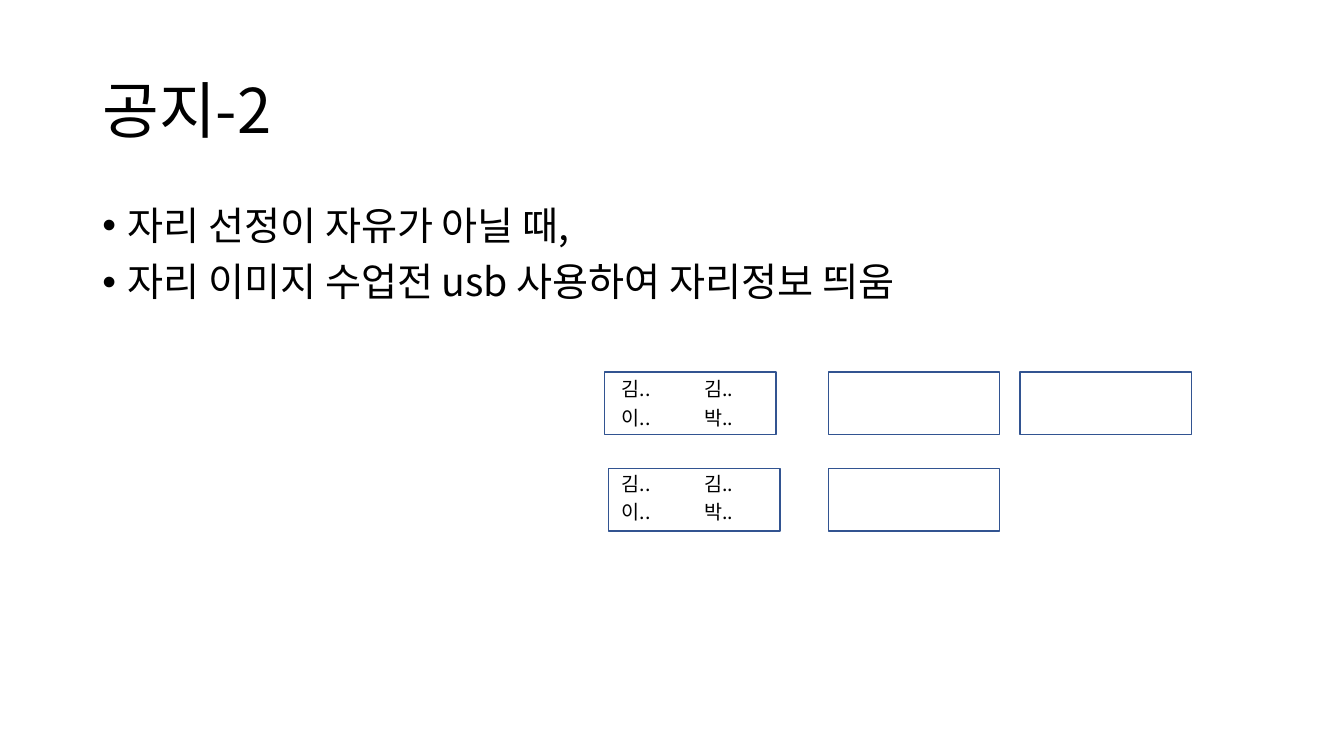
from lxml.etree import SubElement
from pptx import Presentation
from pptx.dml.color import RGBColor
from pptx.enum.shapes import MSO_SHAPE
from pptx.enum.text import MSO_ANCHOR, MSO_AUTO_SIZE, PP_ALIGN
from pptx.oxml.ns import qn
from pptx.util import Pt

FONT = "Noto Sans CJK KR"


def color(value):
    return RGBColor.from_string(value)


def format_text(frame, size, spacing=1.0):
    for para in frame.paragraphs:
        para.alignment = PP_ALIGN.LEFT
        para.line_spacing = spacing
        for span in para.runs:
            span.font.size = Pt(size)
            span.font.color.rgb = color("000000")
            span.font.name = FONT
            SubElement(span.font._element, qn("a:ea"), typeface=FONT)


deck = Presentation()
deck.slide_width, deck.slide_height = Pt(960), Pt(540)
page = deck.slides.add_slide(deck.slide_layouts[5])

title = page.shapes.title
title.left, title.top, title.width, title.height = Pt(66), Pt(28.75), Pt(828), Pt(104.4)
title.text_frame.text = "공지-2"
title.text_frame.vertical_anchor = MSO_ANCHOR.MIDDLE
format_text(title.text_frame, 44, 0.9)

body = page.shapes.add_textbox(Pt(66), Pt(144), Pt(828), Pt(342.75))
body.text_frame.word_wrap = True
body.text_frame.text = "자리 선정이 자유가 아닐 때,\n자리 이미지 수업전 usb 사용하여 자리정보 띄움"
for para in body.text_frame.paragraphs:
    properties = para._p.get_or_add_pPr()
    properties.set("marL", str(Pt(18)))
    properties.set("indent", str(-Pt(18)))
    SubElement(properties, qn("a:buFont"), typeface="Arial")
    SubElement(properties, qn("a:buChar"), char="•")
body.text_frame.paragraphs[1].space_before = Pt(10)
format_text(body.text_frame, 28, 0.9)

desks = [(432, 265.7), (591.8, 265.7), (591.8, 334.8), (434.9, 334.8), (728.6, 265.7)]
for left, top in desks:
    desk = page.shapes.add_shape(MSO_SHAPE.RECTANGLE, Pt(left), Pt(top), Pt(122.4), Pt(44.6))
    desk.shadow.inherit = False
    desk.fill.background()
    desk.line.color.rgb = color("325491")
    desk.line.width = Pt(1)

seats = [["김..", "김.."], ["이..", "박.."]]
for desk_top in (265.7, 333.2):
    for row, names in enumerate(seats):
        for column, name in enumerate(names):
            label = page.shapes.add_textbox(
                Pt(437 + 59 * column), Pt(desk_top + 20.5 * row), Pt(56.9), Pt(24.5))
            label.text_frame.word_wrap = True
            label.text_frame.auto_size = MSO_AUTO_SIZE.SHAPE_TO_FIT_TEXT
            label.text_frame.text = name
            format_text(label.text_frame, 14)

deck.save("out.pptx")
